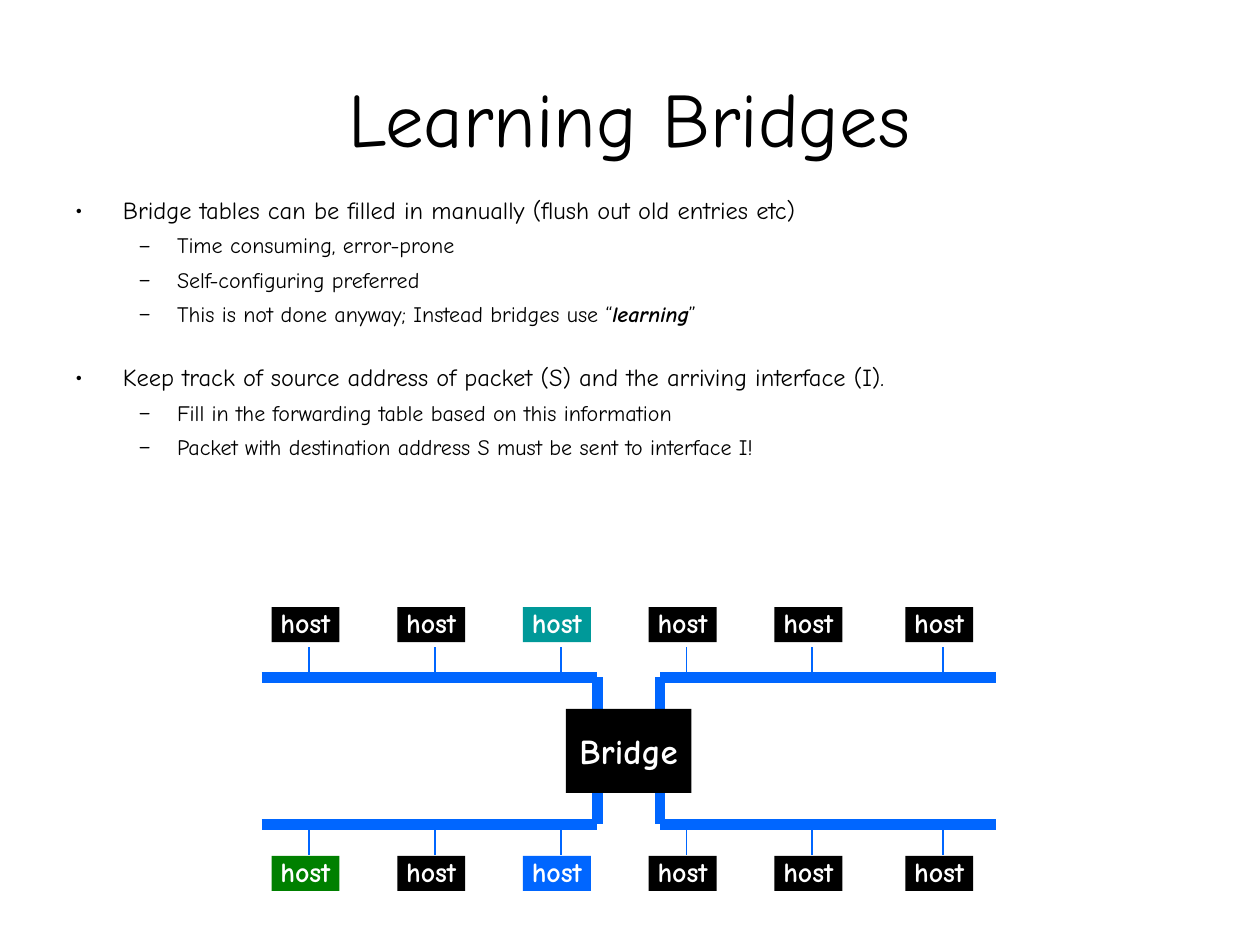
from lxml.etree import SubElement
from pptx import Presentation
from pptx.dml.color import RGBColor
from pptx.enum.shapes import MSO_CONNECTOR, MSO_SHAPE
from pptx.enum.text import MSO_ANCHOR, MSO_AUTO_SIZE, PP_ALIGN
from pptx.oxml.ns import qn
from pptx.util import Inches, Pt

BLACK = RGBColor(0x00, 0x00, 0x00)
WHITE = RGBColor(0xFF, 0xFF, 0xFF)
BLUE = RGBColor(0x00, 0x66, 0xFF)
TEAL = RGBColor(0x00, 0x99, 0x99)
GREEN = RGBColor(0x00, 0x80, 0x00)
FONT = "Comic Neue"

POINTS = [
    (0, "Bridge tables can be filled in manually (flush out old entries etc)", 5),
    (1, "Time consuming, error-prone", 4.5),
    (1, "Self-configuring preferred", 4.5),
    (1, "This is not done anyway; Instead bridges use “*learning*”", 4.5),
    (0, "Keep track of source address of packet (S) and the arriving interface (I).", 20),
    (1, "Fill in the forwarding table based on this information", 4.5),
    (1, "Packet with destination address S must be sent to interface I!", 4.5),
]
LEVELS = [("•", 14, 0.38, 0.38), ("–", 12.6, 0.81, 0.31)]


def write(par, text, font=FONT, size=16, color=BLACK, bold=False,
          align=PP_ALIGN.LEFT, before=0, spacing=None):
    par.alignment = align
    par.space_before = Pt(before)
    if spacing:
        par.line_spacing = spacing
    for i, part in enumerate(text.split("*")):
        run = par.add_run()
        run.text = part
        run.font.name = font
        run.font.size = Pt(size)
        run.font.color.rgb = color
        run.font.bold = bold or i % 2 == 1
        run.font.italic = i % 2 == 1


class Board:
    cell = Inches(0.25)

    def __init__(self, slide):
        self.shapes = slide.shapes

    def grid(self, *cells):
        return [round(n * self.cell) for n in cells]

    def frame(self, *area):
        frame = self.shapes.add_textbox(*self.grid(*area)).text_frame
        frame.word_wrap = True
        return frame

    def title(self, text, *area):
        frame = self.frame(*area)
        frame.vertical_anchor = MSO_ANCHOR.MIDDLE
        write(frame.paragraphs[0], text, size=44, align=PP_ALIGN.CENTER)

    def list(self, points, *area):
        frame = self.frame(*area)
        for i, (level, text, before) in enumerate(points):
            par = frame.add_paragraph() if i else frame.paragraphs[0]
            mark, size, left, hang = LEVELS[level]
            par.level = level
            write(par, text, size=size, before=before)
            props = par._p.get_or_add_pPr()
            props.set("marL", str(Inches(left)))
            props.set("indent", str(-Inches(hang)))
            SubElement(props, qn("a:buFont")).set("typeface", FONT)
            SubElement(props, qn("a:buChar")).set("char", mark)

    def box(self, fill, *area):
        box = self.shapes.add_shape(MSO_SHAPE.RECTANGLE, *self.grid(*area))
        box.shadow.inherit = False
        box.fill.solid()
        box.fill.fore_color.rgb = fill
        box.line.fill.background()
        box.text_frame.word_wrap = False
        return box.text_frame

    def host(self, fill, left, top):
        frame = self.box(fill, left, top, 2.16, 1.12)
        frame.margin_left = frame.margin_right = Inches(0.07)
        frame.margin_top = frame.margin_bottom = Inches(0.03)
        frame.vertical_anchor = MSO_ANCHOR.TOP
        frame.auto_size = MSO_AUTO_SIZE.SHAPE_TO_FIT_TEXT
        write(frame.paragraphs[0], "host", color=WHITE, bold=True, spacing=0.85)

    def bridge(self, text, *area):
        frame = self.box(BLACK, *area)
        frame.vertical_anchor = MSO_ANCHOR.MIDDLE
        write(frame.paragraphs[0], text, size=20, color=WHITE, bold=True,
              align=PP_ALIGN.CENTER)

    def wire(self, *ends, width=6):
        wire = self.shapes.add_connector(MSO_CONNECTOR.STRAIGHT, *self.grid(*ends))
        wire.line.color.rgb = BLUE
        wire.line.width = Pt(width)
        SubElement(wire._element.spPr, qn("a:effectLst"))


def main():
    deck = Presentation()
    deck.slide_width = Pt(721.5)
    deck.slide_height = Pt(541.4)
    board = Board(deck.slides.add_slide(deck.slide_layouts[6]))
    board.title("Learning Bridges", 2, 1.2, 36.04, 5)
    board.list(POINTS, 2, 6, 36, 9)

    high, low = 21.56, 26.24
    lefts = [8.64 + 4 * i for i in range(5)] + [28.8]
    rows = [
        (19.32, 20.6, 21.52, {2: TEAL}),
        (27.24, low, 27.2, {0: GREEN, 2: BLUE}),
    ]
    for top, start, end, fills in rows:
        for i, left in enumerate(lefts):
            board.host(fills.get(i, BLACK), left, top)
            board.wire(left + 1.2, start, left + 1.2, end, width=1)
    for outer, inner in [(8.32, 19), (31.68, 21)]:
        for row in (high, low):
            board.wire(outer, row, inner, row)
        board.wire(inner, high, inner, low)
    board.bridge("Bridge", 18, 22.56, 4, 2.68)
    deck.save("out.pptx")


if __name__ == "__main__":
    main()
